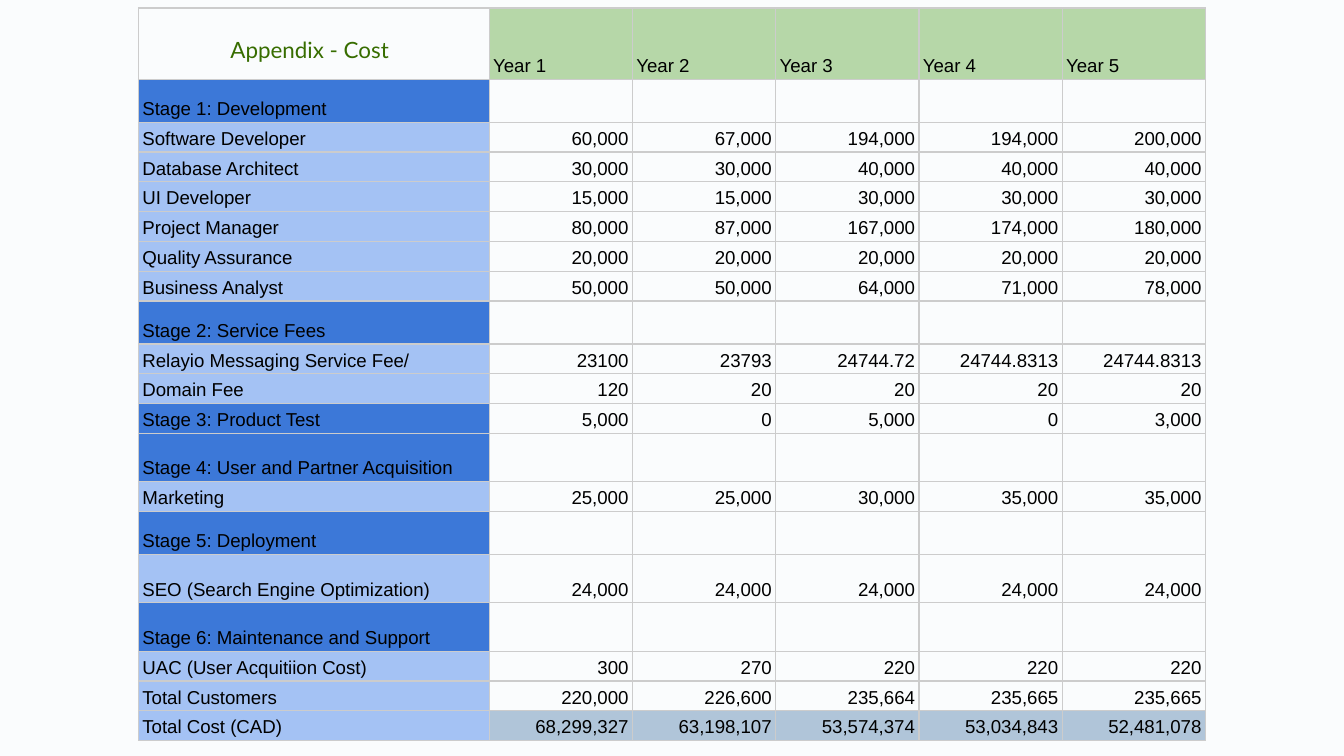
import pptx
import pptx.dml.color
import pptx.enum.text
import pptx.oxml
import pptx.oxml.ns
import pptx.util

Inches, Pt = pptx.util.Inches, pptx.util.Pt
ALIGN = pptx.enum.text.PP_ALIGN
STAGE, ITEM, HEADER, TOTAL = "3C78D8", "A4C2F4", "B6D7A8", "B0C5D9"
HEAD_H, LOW, MID, TALL = 0.53, 0.22, 0.32, 0.36
LABEL_W, ALL_YEARS_W, YEARS = 2.61, 5.33, 5


def rgb(value):
    return pptx.dml.color.RGBColor.from_string(value)


def add_borders(cell, color, width):
    tcPr = cell._tc.get_or_add_tcPr()
    for side in ("lnL", "lnR", "lnT", "lnB"):
        tcPr.append(pptx.oxml.parse_xml(
            f'<a:{side} {pptx.oxml.ns.nsdecls("a")} w="{Pt(width)}"><a:solidFill>'
            f'<a:srgbClr val="{color}"/></a:solidFill></a:{side}>'))


# Row height, label colour, label, one value per year
rows = [
    (HEAD_H, None, "", "Year 1|Year 2|Year 3|Year 4|Year 5"),
    (MID, STAGE, "Stage 1: Development", ""),
    (LOW, ITEM, "Software Developer", "60,000|67,000|194,000|194,000|200,000"),
    (LOW, ITEM, "Database Architect", "30,000|30,000|40,000|40,000|40,000"),
    (LOW, ITEM, "UI Developer", "15,000|15,000|30,000|30,000|30,000"),
    (LOW, ITEM, "Project Manager", "80,000|87,000|167,000|174,000|180,000"),
    (LOW, ITEM, "Quality Assurance", "20,000|20,000|20,000|20,000|20,000"),
    (LOW, ITEM, "Business Analyst", "50,000|50,000|64,000|71,000|78,000"),
    (MID, STAGE, "Stage 2: Service Fees", ""),
    (LOW, ITEM, "Relayio Messaging Service Fee/",
     "23100|23793|24744.72|24744.8313|24744.8313"),
    (LOW, ITEM, "Domain Fee", "120|20|20|20|20"),
    (LOW, STAGE, "Stage 3: Product Test", "5,000|0|5,000|0|3,000"),
    (TALL, STAGE, "Stage 4: User and Partner Acquisition", ""),
    (LOW, ITEM, "Marketing", "25,000|25,000|30,000|35,000|35,000"),
    (MID, STAGE, "Stage 5: Deployment", ""),
    (TALL, ITEM, "SEO (Search Engine Optimization)",
     "24,000|24,000|24,000|24,000|24,000"),
    (TALL, STAGE, "Stage 6: Maintenance and Support", ""),
    (LOW, ITEM, "UAC (User Acquitiion Cost)", "300|270|220|220|220"),
    (LOW, ITEM, "Total Customers", "220,000|226,600|235,664|235,665|235,665"),
    (LOW, ITEM, "Total Cost (CAD)",
     "68,299,327|63,198,107|53,574,374|53,034,843|52,481,078"),
]

# Slide (16:9) and background
prs = pptx.Presentation()
prs.slide_width = Inches(10)
prs.slide_height = prs.slide_width * 9 // 16
s = prs.slides.add_slide(prs.slide_layouts[6])
s.background.fill.solid()
s.background.fill.fore_color.rgb = rgb("FAFCFD")

# Title, shown in the empty corner of the table
tf = s.shapes.add_textbox(Inches(1.38), Inches(0.17), Inches(1.85), Inches(0.28)).text_frame
tf.word_wrap = True
tf.margin_left = tf.margin_right = tf.margin_top = tf.margin_bottom = Inches(0.1)
p = tf.paragraphs[0]
p.text = "Appendix - Cost"
p.alignment = ALIGN.CENTER
r = p.runs[0]
r.font.name, r.font.size = "Lato", Pt(12)
r.font.color.rgb = rgb("376D00")

# Table grid
table = s.shapes.add_table(
    len(rows), 1 + YEARS, Inches(1.03), Inches(0.06),
    Inches(LABEL_W + ALL_YEARS_W), Inches(sum(row[0] for row in rows))).table
table.first_row = table.horz_banding = False
for i, col in enumerate(table.columns):
    col.width = Inches(ALL_YEARS_W / YEARS if i else LABEL_W)

# Table cells
for i, (height, label_fill, label, values) in enumerate(rows):
    table.rows[i].height = Inches(height)
    year_fill = {0: HEADER, len(rows) - 1: TOTAL}.get(i)
    texts = [label] + (values.split("|") if values else [""] * YEARS)
    for j, text in enumerate(texts):
        cell = table.cell(i, j)
        add_borders(cell, "CCCCCC", 0.75)
        fill = year_fill if j else label_fill
        if fill:
            cell.fill.solid()
            cell.fill.fore_color.rgb = rgb(fill)
        else:
            cell.fill.background()
        cell.margin_left = cell.margin_right = Inches(0.03)
        cell.margin_top, cell.margin_bottom = Inches(0.01), Inches(0.02)
        cell.vertical_anchor = pptx.enum.text.MSO_ANCHOR.BOTTOM
        p = cell.text_frame.paragraphs[0]
        if not text:
            # Small end mark keeps empty cells from stretching the row
            p._p.append(pptx.oxml.parse_xml(
                f'<a:endParaRPr {pptx.oxml.ns.nsdecls("a")} sz="1000"/>'))
            continue
        p.text = text
        p.line_spacing = 1.15
        p.alignment = ALIGN.RIGHT if i and j else ALIGN.LEFT
        r = p.runs[0]
        r.font.name, r.font.size = "Arial", Pt(10)
        r.font.color.rgb = rgb("000000")

prs.save("out.pptx")
